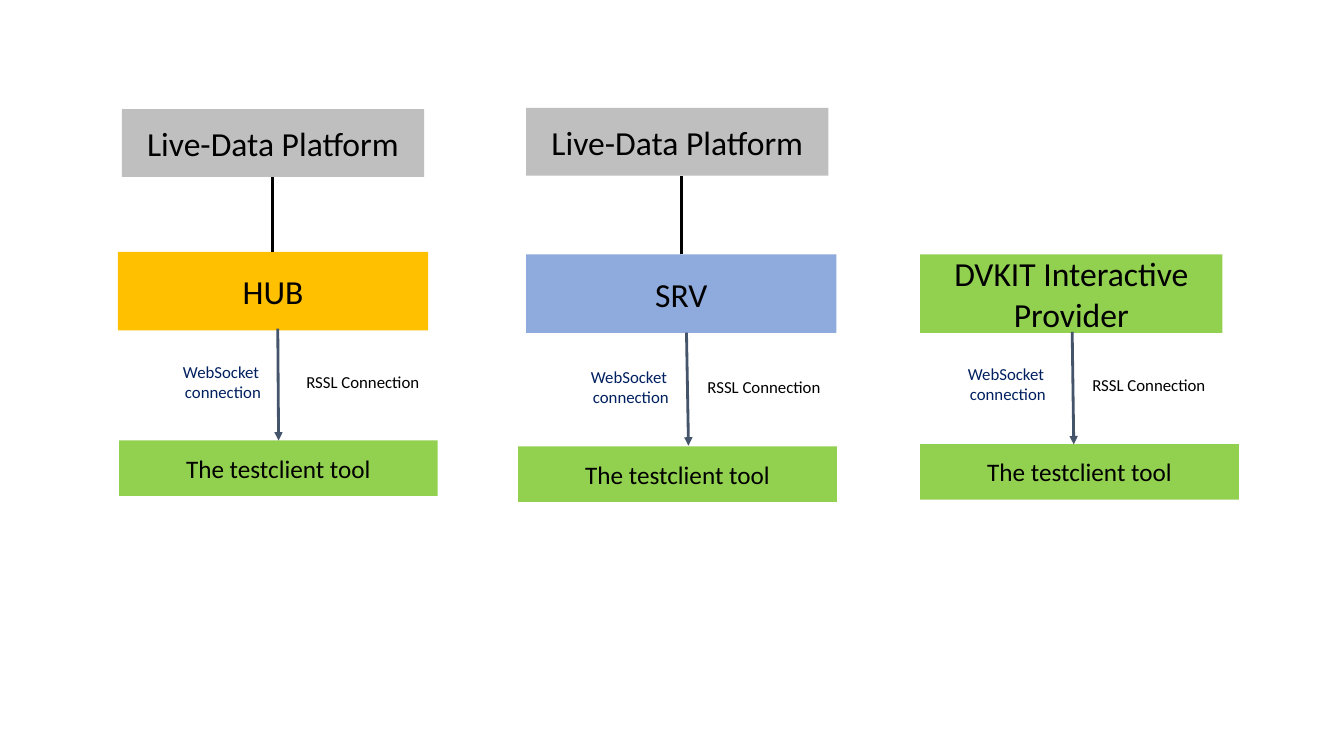
from lxml import etree
from pptx import Presentation
from pptx.dml.color import RGBColor
from pptx.enum import shapes, text
from pptx.oxml.ns import qn
from pptx.util import Cm, Pt

COLOURS = {"grey": "BFBFBF", "amber": "FFC000", "blue": "8FAADC", "green": "92D050",
           "slate": "44546A", "navy": "002060", "black": "000000"}

deck = Presentation()
deck.slide_width, deck.slide_height = Cm(33.87), Cm(19.05)
page = deck.slides.add_slide(deck.slide_layouts[6])


def add_text(wording, *, at, size, points, fill=None, colour="black"):
    place = [Cm(value) for value in at + size]
    if fill:
        box = page.shapes.add_shape(shapes.MSO_SHAPE.RECTANGLE, *place)
        box.shadow.inherit = False
        box.fill.solid()
        box.fill.fore_color.rgb = RGBColor.from_string(COLOURS[fill])
        box.line.fill.background()
    else:
        box = page.shapes.add_textbox(*place)
    frame = box.text_frame
    frame.word_wrap = True
    frame.vertical_anchor = text.MSO_ANCHOR.MIDDLE if fill else text.MSO_ANCHOR.TOP
    frame.text = wording
    for para in frame.paragraphs:
        para.alignment = text.PP_ALIGN.CENTER
        for span in para.runs:
            span.font.name = "Calibri"
            span.font.size = Pt(points)
            span.font.color.rgb = RGBColor.from_string(COLOURS[colour])


def add_line(start, end, *, colour, arrow=False):
    line = page.shapes.add_connector(
        shapes.MSO_CONNECTOR.STRAIGHT, *[Cm(value) for value in start + end])
    line.line.width = Pt(2)
    line.line.color.rgb = RGBColor.from_string(COLOURS[colour])
    properties = line._element.spPr
    if arrow:
        etree.SubElement(properties.find(qn("a:ln")), qn("a:headEnd"), type="triangle")
    etree.SubElement(properties, qn("a:effectLst"))


columns = [
    {"hub": "HUB", "fill": "amber", "hub_at": (2.97, 6.35), "hub_width": 7.82,
     "platform_at": (3.07, 2.75), "link_x": 6.87, "tool_at": (3.0, 11.1),
     "socket_at": (3.18, 8.99), "rssl_at": (7.34, 9.25),
     "arrow": ((7.02, 11.1), (7.0, 8.28))},
    {"hub": "SRV", "fill": "blue", "hub_at": (13.26, 6.41), "hub_width": 7.82,
     "platform_at": (13.26, 2.72), "link_x": 17.17, "tool_at": (13.06, 11.25),
     "socket_at": (13.46, 9.12), "rssl_at": (17.45, 9.37),
     "arrow": ((17.35, 11.23), (17.3, 8.38))},
    {"hub": "DVKIT Interactive Provider", "fill": "green", "hub_at": (23.19, 6.41),
     "hub_width": 7.62, "platform_at": None, "tool_at": (23.19, 11.19),
     "socket_at": (22.96, 9.04), "rssl_at": (27.15, 9.31),
     "arrow": ((27.06, 11.2), (27.02, 8.36))},
]

for column in columns:
    add_text(column["hub"], at=column["hub_at"], size=(column["hub_width"], 1.98),
             points=24, fill=column["fill"])
    if column["platform_at"]:
        add_text("Live-Data Platform", at=column["platform_at"], size=(7.62, 1.71),
                 points=24, fill="grey")
        platform_bottom = column["platform_at"][1] + 1.71
        add_line((column["link_x"], column["hub_at"][1]),
                 (column["link_x"], platform_bottom), colour="black")
    add_text("The testclient tool", at=column["tool_at"], size=(8.03, 1.4),
             points=18, fill="green")
    add_text("WebSocket \nconnection", at=column["socket_at"], size=(4.88, 1.28),
             points=12, colour="navy")
    add_line(*column["arrow"], colour="slate", arrow=True)
    add_text("RSSL Connection", at=column["rssl_at"], size=(3.61, 0.77), points=12)

deck.save("out.pptx")
